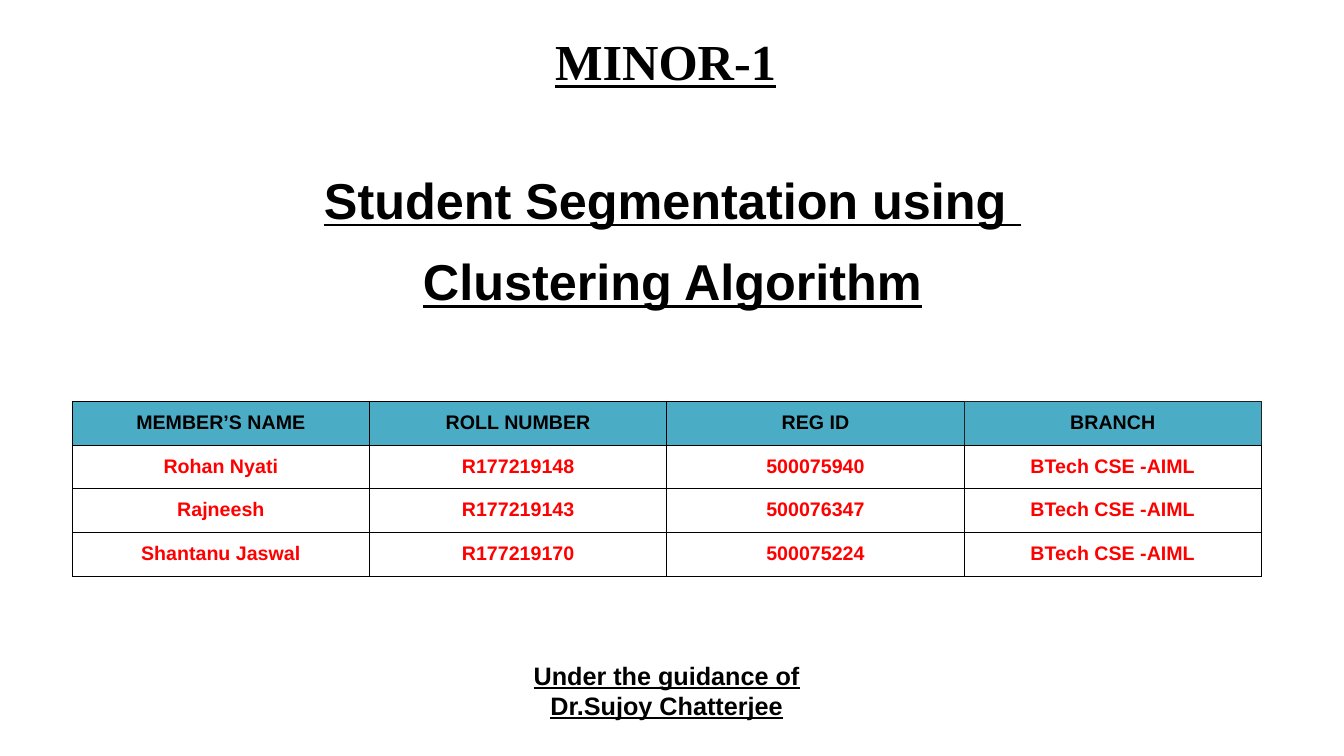
from lxml import etree
from pptx import Presentation
from pptx.dml.color import RGBColor
from pptx.enum.text import MSO_ANCHOR, MSO_AUTO_SIZE, PP_ALIGN
from pptx.oxml.ns import qn
from pptx.util import Cm, Pt

CENTER = PP_ALIGN.CENTER
TOP, MIDDLE = MSO_ANCHOR.TOP, MSO_ANCHOR.MIDDLE
NO_FIT = MSO_AUTO_SIZE.NONE
BLACK, RED, TEAL, GRAY = "000000", "FF0000", "4BACC6", "212121"
TITLE_ONLY = 5
PAD = 0.25
HEADER = ["MEMBER’S NAME", "ROLL NUMBER", "REG ID", "BRANCH"]
MEMBERS = [
    ["Rohan Nyati", "R177219148", "500075940"],
    ["Rajneesh", "R177219143", "500076347"],
    ["Shantanu Jaswal", "R177219170", "500075224"],
]
BRANCH = "BTech CSE -AIML"


def rgb(value):
    """Turn a hex string into a colour."""
    return RGBColor.from_string(value)


def write(p, text, size=18, font="Arial", color=BLACK, underline=False, before=0):
    """Fill a paragraph with one bold, centred run."""
    p.alignment = CENTER
    p.space_before = Pt(before)
    r = p.add_run()
    r.text = text
    r.font.name = font
    r.font.size = Pt(size)
    r.font.bold = True
    r.font.underline = underline
    r.font.color.rgb = rgb(color)


def place(sp, box):
    """Move a shape to a box given in centimetres."""
    sp.left, sp.top, sp.width, sp.height = map(Cm, box)


def add_title(s, box):
    """Place the slide title."""
    sp = s.shapes.title
    place(sp, box)
    tf = sp.text_frame
    tf.auto_size = NO_FIT
    tf.vertical_anchor = MIDDLE
    write(tf.paragraphs[0], "MINOR-1", size=36, font="Times New Roman", underline=True)


def add_lines(s, box, lines, pad, size, gap=0):
    """Place a text box of underlined lines, with a gap between them."""
    tf = s.shapes.add_textbox(*map(Cm, box)).text_frame
    tf.word_wrap = True
    tf.auto_size = NO_FIT
    tf.vertical_anchor = TOP
    tf.margin_top = tf.margin_bottom = Cm(pad)
    for i, line in enumerate(lines):
        p = tf.add_paragraph() if i else tf.paragraphs[0]
        write(p, line, size=size, underline=True, before=gap if i else 0)


def set_border(cell, side, color):
    """Draw one side of a cell as a thin solid line."""
    ln = etree.SubElement(cell._tc.get_or_add_tcPr(), qn("a:" + side), w=str(Pt(0.75)))
    fill = etree.SubElement(ln, qn("a:solidFill"))
    etree.SubElement(fill, qn("a:srgbClr"), val=color)


def format_cell(cell, text, is_header, is_branch):
    """Write, border and fill one cell of the member table."""
    cell.margin_left = cell.margin_right = Cm(PAD)
    cell.margin_top = cell.margin_bottom = Cm(PAD)
    write(cell.text_frame.paragraphs[0], text, size=14, color=BLACK if is_header else RED)
    for side in ("lnL", "lnR", "lnT", "lnB"):
        set_border(cell, side, GRAY if is_header and is_branch else BLACK)
    if is_header:
        cell.fill.solid()
        cell.fill.fore_color.rgb = rgb(TEAL)
    else:
        cell.fill.background()


def add_members(s, box):
    """Place the member table with equal rows and columns."""
    rows = [HEADER] + [member + [BRANCH] for member in MEMBERS]
    table = s.shapes.add_table(len(rows), len(HEADER), *map(Cm, box)).table
    for i, row in enumerate(rows):
        for j, text in enumerate(row):
            format_cell(table.cell(i, j), text, i == 0, j == len(HEADER) - 1)


def main():
    """Build and save the slide."""
    prs = Presentation()
    prs.slide_width, prs.slide_height = Cm(33.87), Cm(19.05)
    s = prs.slides.add_slide(prs.slide_layouts[TITLE_ONLY])
    add_title(s, (0, 0.48, 33.55, 2.1))
    add_lines(s, (8.33, 16.5, 16.94, 1.96),
              ["Under the guidance of", "Dr.Sujoy Chatterjee"], pad=0.13, size=18)
    add_lines(s, (4, 4.01, 25.9, 4.1),
              ["Student Segmentation using ", "Clustering Algorithm"],
              pad=PAD, size=36, gap=15)
    add_members(s, (1.82, 10.12, 29.97, 4.4))
    prs.save("out.pptx")


main()
